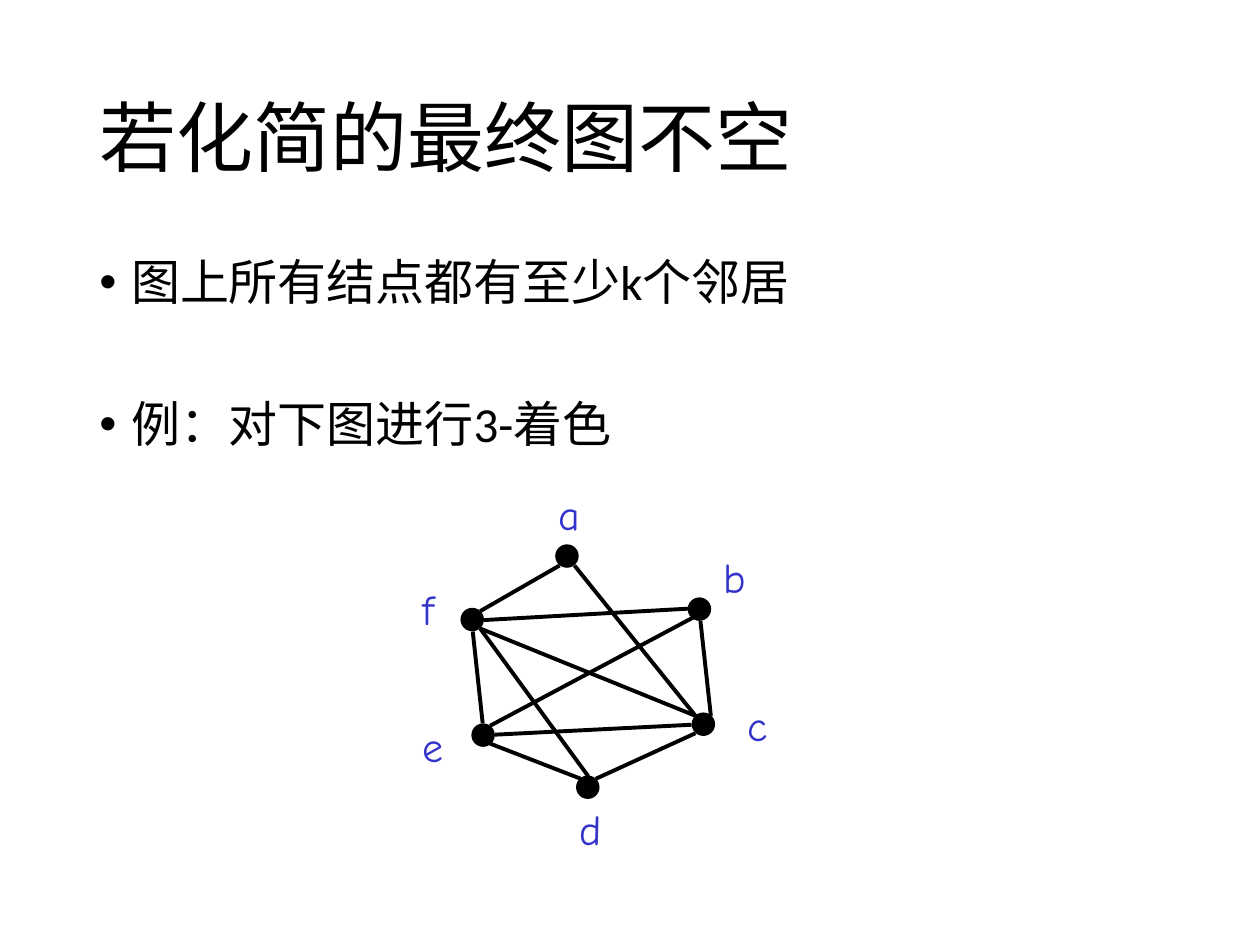
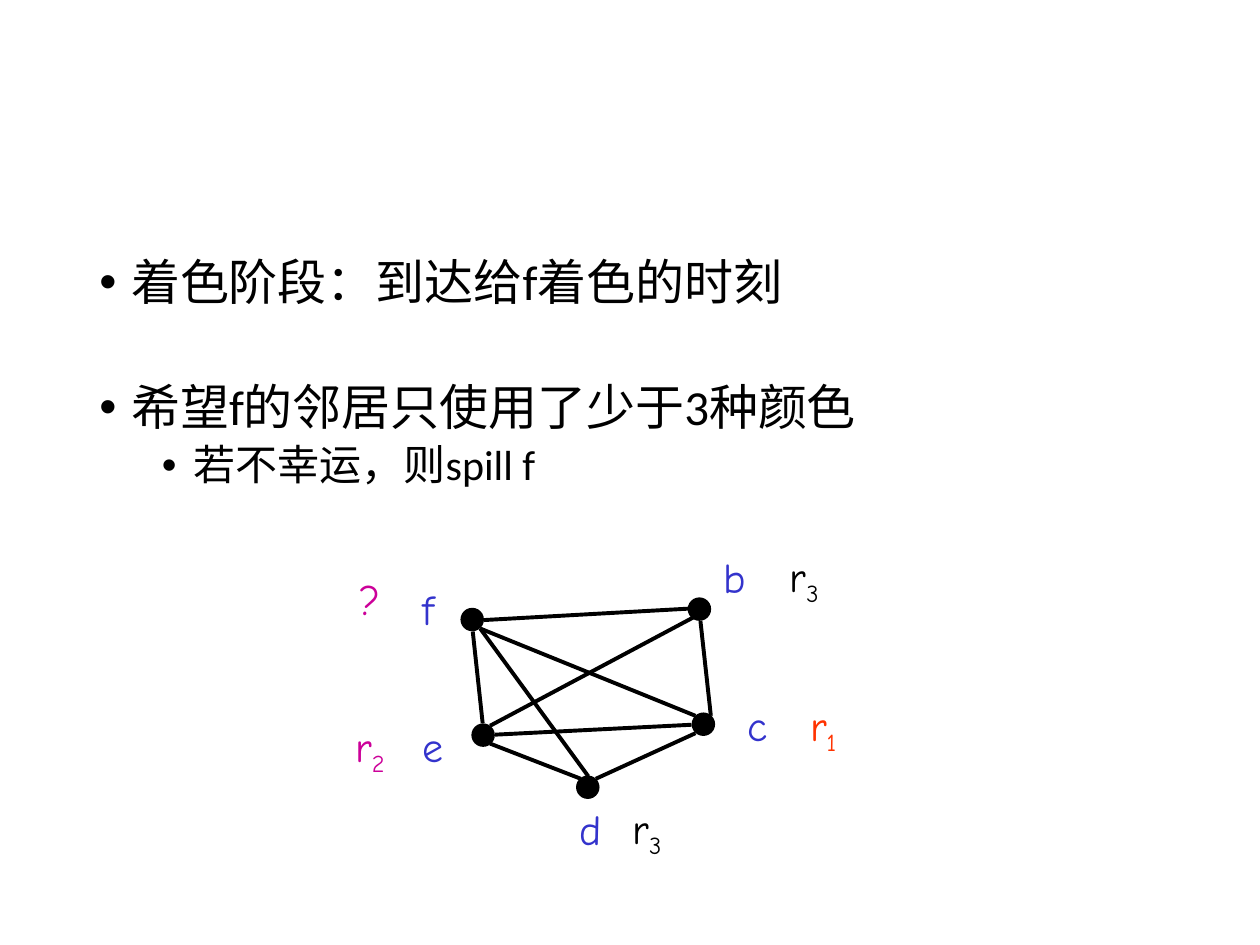
import pptx
import pptx.dml.color
import pptx.enum.shapes
import pptx.enum.text
import pptx.oxml.ns
import pptx.util
from lxml import etree
from pptx.util import Cm

COLORS = {"black": "000000", "node": "3333CC", "red": "FF3300", "magenta": "CC0099"}
TEXT_FONT = "Calibri"
GRAPH_FONT = "Comic Neue"

TITLE_BOX = (1.75, 1.02, 21.9, 3.68)
BODY_BOX = (1.75, 5.08, 21.9, 12.09)
NODE_SIZE = 0.42
LABEL_HEIGHT = 1.27
LABEL_WIDTH = 0.95
REGISTER_WIDTH = 1.27

LEVELS = [
    {"size": 28, "margin": 0.64},
    {"size": 24, "margin": 1.9},
]
BULLET_INDENT = 0.64

NODES = {
    "a": {"dot": (11.22, 11), "label": (11, 9.73)},
    "b": {"dot": (13.89, 12.07), "label": (14.33, 11)},
    "c": {"dot": (13.97, 14.39), "label": (14.81, 13.97)},
    "d": {"dot": (11.64, 15.66), "label": (11.43, 16.08)},
    "e": {"dot": (9.53, 14.61), "label": (8.26, 14.39)},
    "f": {"dot": (9.31, 12.28), "label": (8.26, 11.64)},
}
EDGES = {
    "cd": (14.02, 14.78, 12.01, 15.7),
    "ac": (11.58, 11.4, 14.02, 14.43),
    "bc": (14.12, 12.52, 14.33, 14.43),
    "bf": (13.87, 12.27, 9.75, 12.5),
    "be": (13.97, 12.45, 9.88, 14.63),
    "ce": (13.94, 14.61, 9.98, 14.81),
    "af": (11.28, 11.4, 9.68, 12.32),
    "de": (11.71, 15.7, 9.88, 14.99),
    "ef": (9.73, 14.58, 9.53, 12.73),
    "cf": (14.02, 14.43, 9.68, 12.67),
    "df": (11.86, 15.65, 9.68, 12.67),
}

SLIDES = [
    {
        "title": "若化简的最终图不空",
        "bullets": [
            (0, 10, "图上所有结点都有至少k个邻居"),
            (0, 51, "例：对下图进行3-着色"),
        ],
        "nodes": "abcdef",
        "registers": [],
    },
    {
        "title": None,
        "bullets": [
            (0, 10, "着色阶段：到达给f着色的时刻"),
            (0, 41, "希望f的邻居只使用了少于3种颜色"),
            (1, 5, "若不幸运，则spill f"),
        ],
        "nodes": "bcdef",
        "registers": [
            ("r", "3", "black", (15.67, 10.97)),
            ("r", "1", "red", (16.08, 13.97)),
            ("r", "2", "magenta", (6.91, 14.39)),
            ("r", "3", "black", (12.5, 16.05)),
            ("?", "", "magenta", (6.99, 11.43)),
        ],
    },
]


def color(name):
    return pptx.dml.color.RGBColor.from_string(COLORS[name])


def set_font(paragraph, name, size, color_name):
    paragraph.font.name = name
    paragraph.font.size = pptx.util.Pt(size)
    paragraph.font.color.rgb = color(color_name)


def place(shape, box):
    shape.left, shape.top, shape.width, shape.height = map(Cm, box)
    shape.text_frame.auto_size = pptx.enum.text.MSO_AUTO_SIZE.NONE


def set_bullet(paragraph, margin):
    properties = paragraph._p.get_or_add_pPr()
    properties.set("marL", str(Cm(margin)))
    properties.set("indent", str(-Cm(BULLET_INDENT)))
    font = etree.SubElement(properties, pptx.oxml.ns.qn("a:buFont"))
    font.set("typeface", "Arial")
    etree.SubElement(properties, pptx.oxml.ns.qn("a:buChar")).set("char", "•")


def fill_title(shape, text):
    if text is None:
        shape._element.getparent().remove(shape._element)
        return
    place(shape, TITLE_BOX)
    shape.text_frame.text = text
    shape.text_frame.vertical_anchor = pptx.enum.text.MSO_ANCHOR.MIDDLE
    paragraph = shape.text_frame.paragraphs[0]
    paragraph.alignment = pptx.enum.text.PP_ALIGN.LEFT
    paragraph.line_spacing = 0.9
    set_font(paragraph, TEXT_FONT, 44, "black")


def fill_body(shape, bullets):
    place(shape, BODY_BOX)
    frame = shape.text_frame
    frame.text = "\n".join(text for _, _, text in bullets)
    for paragraph, (level, space_before, _) in zip(frame.paragraphs, bullets):
        paragraph.level = level
        paragraph.line_spacing = 0.9
        paragraph.space_before = pptx.util.Pt(space_before)
        set_bullet(paragraph, LEVELS[level]["margin"])
        set_font(paragraph, TEXT_FONT, LEVELS[level]["size"], "black")


def add_label(slide, position, width, text, color_name, subscript="", wrap=False):
    box = slide.shapes.add_textbox(*map(Cm, (*position, width, LABEL_HEIGHT)))
    frame = box.text_frame
    frame.word_wrap = wrap
    frame.auto_size = pptx.enum.text.MSO_AUTO_SIZE.SHAPE_TO_FIT_TEXT
    paragraph = frame.paragraphs[0]
    set_font(paragraph, GRAPH_FONT, 24, color_name)
    paragraph.add_run().text = text
    if subscript:
        run = paragraph.add_run()
        run.text = subscript
        run._r.get_or_add_rPr().set("baseline", "-25000")


def add_edge(slide, points):
    edge = slide.shapes.add_connector(
        pptx.enum.shapes.MSO_CONNECTOR.STRAIGHT, *map(Cm, points))
    edge.line.color.rgb = color("black")
    edge.line.width = pptx.util.Pt(2.25)
    etree.SubElement(edge._element.spPr, pptx.oxml.ns.qn("a:effectLst"))


def add_node(slide, position):
    dot = slide.shapes.add_shape(
        pptx.enum.shapes.MSO_SHAPE.OVAL, *map(Cm, (*position, NODE_SIZE, NODE_SIZE)))
    dot.shadow.inherit = False
    dot.fill.solid()
    dot.fill.fore_color.rgb = color("black")
    dot.line.color.rgb = color("black")
    dot.line.width = pptx.util.Pt(1.5)


def add_graph(slide, names):
    for ends, points in EDGES.items():
        if set(ends) <= set(names):
            add_edge(slide, points)
    for name in names:
        add_node(slide, NODES[name]["dot"])
        add_label(slide, NODES[name]["label"], LABEL_WIDTH, name, "node")


def main():
    presentation = pptx.Presentation()
    presentation.slide_width = Cm(25.4)
    presentation.slide_height = Cm(19.05)
    for content in SLIDES:
        slide = presentation.slides.add_slide(presentation.slide_layouts[1])
        fill_body(slide.placeholders[1], content["bullets"])
        fill_title(slide.shapes.title, content["title"])
        add_graph(slide, content["nodes"])
        for text, subscript, color_name, position in content["registers"]:
            add_label(slide, position, REGISTER_WIDTH, text, color_name, subscript, wrap=True)
    presentation.save("out.pptx")


if __name__ == "__main__":
    main()
